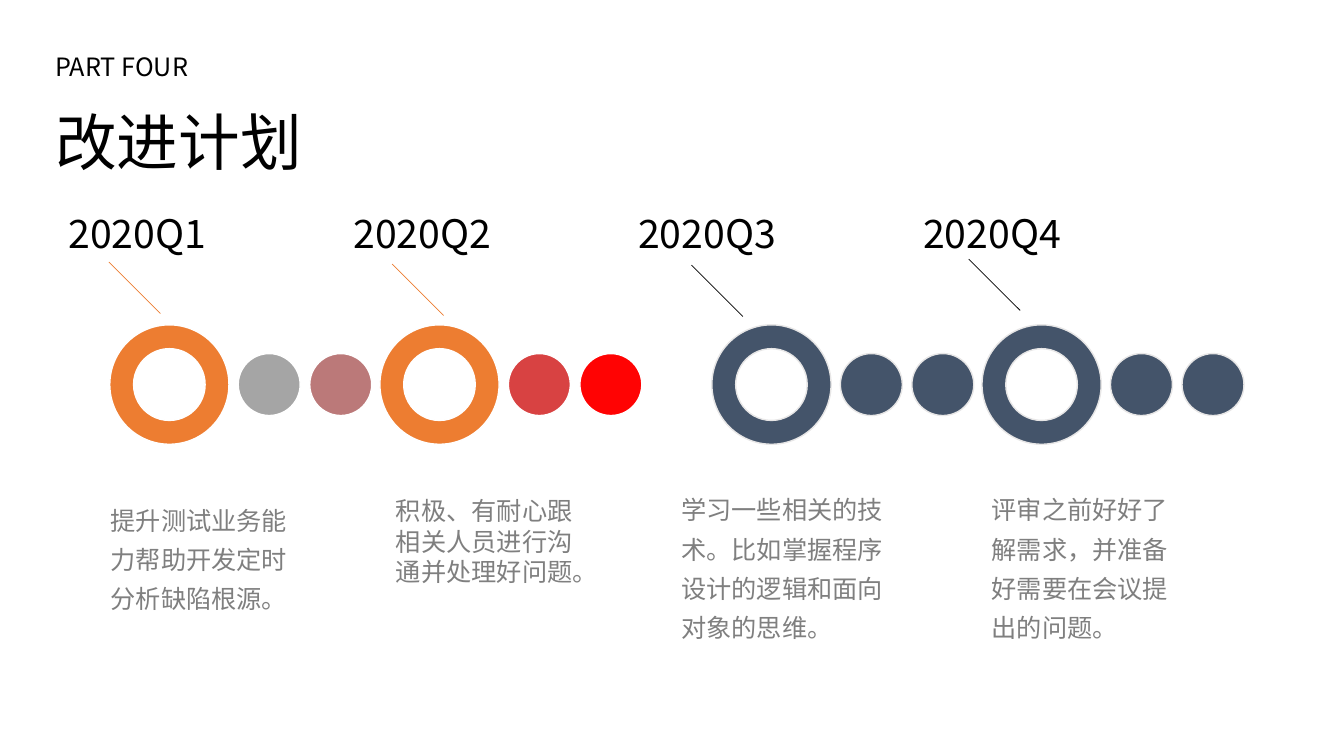
from lxml.etree import SubElement
from pptx import Presentation
from pptx.dml.color import RGBColor
from pptx.enum.shapes import MSO_CONNECTOR as Line, MSO_SHAPE as Shape
from pptx.oxml.ns import qn
from pptx.util import Inches, Pt

FONT = "Noto Sans CJK SC"
COLORS = {
    "black": "000000", "text": "7F7F7F", "white": "FFFFFF", "edge": "E7E6E6",
    "orange": "ED7D31", "slate": "44546A", "gray": "A5A5A5",
    "rose": "BB7979", "coral": "D84242", "red": "FF0303",
}

deck = Presentation()
deck.slide_width, deck.slide_height = Inches(13.33), Inches(7.5)
page = deck.slides.add_slide(deck.slide_layouts[6])

# The grid has 100 columns and 100 rows
COL, ROW = deck.slide_width / 100, deck.slide_height / 100


def place(left, top, width, height):
    """Turn grid columns and rows into slide lengths."""
    return int(left * COL), int(top * ROW), int(width * COL), int(height * ROW)


def add_text(lines, area, color="black", spacing=None, wrap=False):
    """Add a text box with one paragraph for each (text, size) pair."""
    box = page.shapes.add_textbox(*place(*area))
    frame = box.text_frame
    frame.word_wrap = wrap
    for number, (text, size) in enumerate(lines):
        para = frame.add_paragraph() if number else frame.paragraphs[0]
        if spacing:
            para.line_spacing = spacing
        span = para.add_run()
        span.text = text
        span.font.size = Pt(size)
        span.font.name = FONT
        span.font.color.rgb = RGBColor.from_string(COLORS[color])
        SubElement(span.font._element, qn("a:ea"), typeface=FONT)


# Two chains, each with two rings that are followed by two dots
CENTER_ROW, RING_PITCH = 50.87, 20.1
RING, DOT = (8.87, 15.8), (4.61, 8.2)
STEPS = [(0, Shape.DONUT, RING), (7.43, Shape.OVAL, DOT), (12.75, Shape.OVAL, DOT)]
chains = [
    (57.4, "edge", ["slate"] * 6),
    (12.6, "white", ["orange", "gray", "rose", "orange", "coral", "red"]),
]
for start, edge, fills in chains:
    for number, fill in enumerate(fills):
        ring_number, step = divmod(number, len(STEPS))
        offset, kind, (width, height) = STEPS[step]
        center = start + ring_number * RING_PITCH + offset
        circle = page.shapes.add_shape(kind, *place(
            center - width / 2, CENTER_ROW - height / 2, width, height))
        if kind == Shape.DONUT:
            circle.adjustments[0] = 0.2
        circle.shadow.inherit = False
        circle.fill.solid()
        circle.fill.fore_color.rgb = RGBColor.from_string(COLORS[fill])
        circle.line.color.rgb = RGBColor.from_string(COLORS[edge])
        circle.line.width = Pt(1)

# Quarters: label, pointer start and colour, note area and line spacing
quarters = [
    ("2020Q1", (8.1, 34.67), "orange", (7.5, 64.93, 14.85, 22.27), 1.3,
     "提升测试业务能力帮助开发定时分析缺陷根源。"),
    ("2020Q2", (29.18, 34.93), "orange", (28.73, 64.93, 14.85, 17.47), None,
     "积极、有耐心跟相关人员进行沟通并处理好问题。"),
    ("2020Q3", (51.45, 35.07), "black", (49.95, 63.6, 18.08, 27.6), 1.3,
     "学习一些相关的技术。比如掌握程序设计的逻辑和面向对象的思维。"),
    ("2020Q4", (72.08, 34.27), "black", (73.05, 63.6, 15.98, 22.27), 1.3,
     "评审之前好好了解需求，并准备好需要在会议提出的问题。"),
]
for number, (label, (left, top), color, area, spacing, note) in enumerate(quarters):
    add_text([(label, 28)], (4.35 + number * 21.2, 27.07, 12.5, 7.6))
    pointer = page.shapes.add_connector(
        Line.STRAIGHT, *place(left, top, left + 3.83, top + 6.8))
    pointer.line.color.rgb = RGBColor.from_string(COLORS[color])
    pointer.line.width = Pt(0.5)
    SubElement(pointer._element.spPr, qn("a:effectLst"))
    add_text([(note, 18)], area, color="text", spacing=spacing, wrap=True)

add_text([("PART FOUR", 18), ("改进计划", 44)], (3.38, 4.93, 20, 17.6), spacing=1.3)

deck.save("out.pptx")
